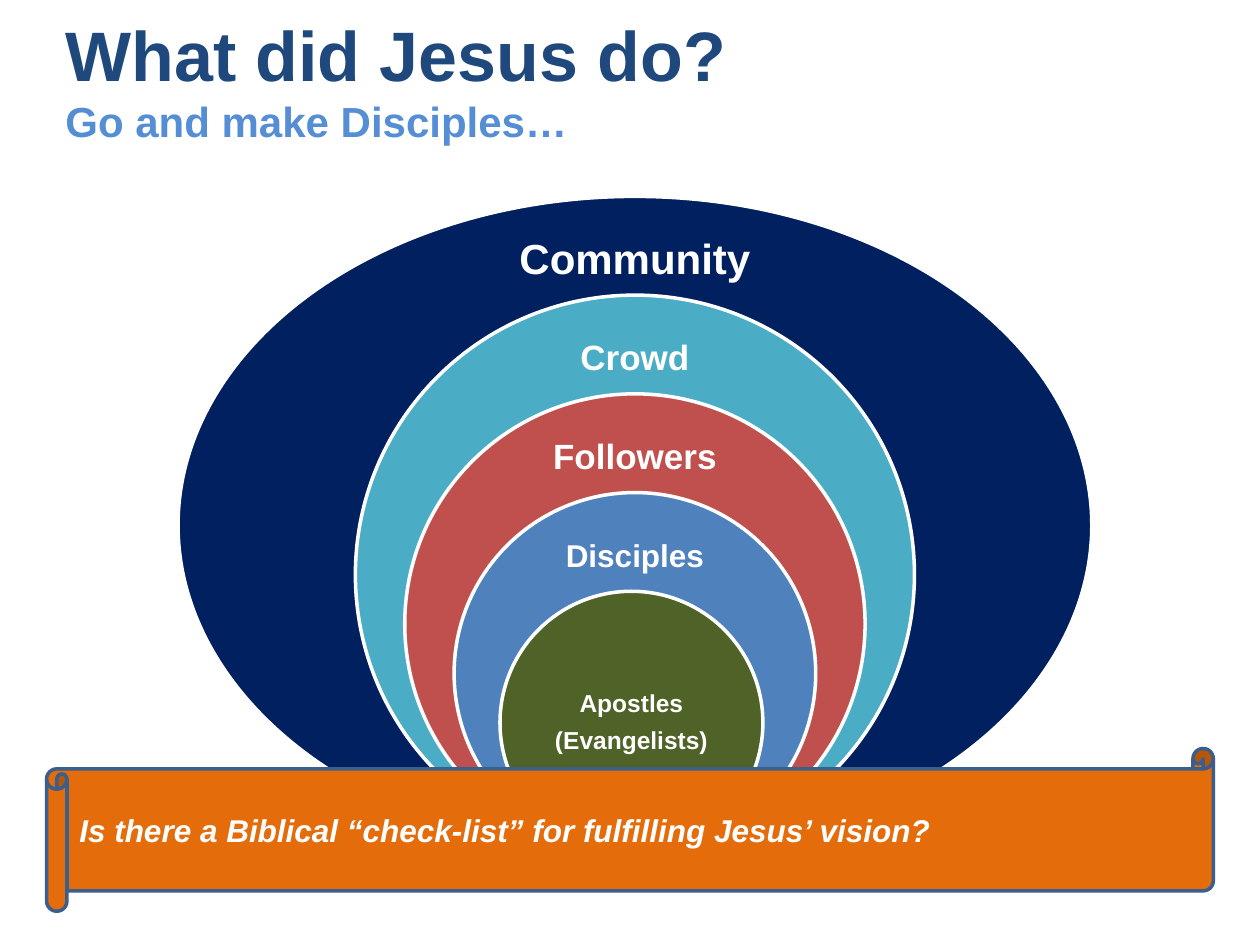
import pptx
import pptx.util
import pptx.dml.color
import pptx.enum.shapes
import pptx.enum.text
from dataclasses import dataclass

Cm = pptx.util.Cm
Pt = pptx.util.Pt


@dataclass(frozen=True)
class Theme:
    font: str = "Arial"
    title: str = "1F497D"
    subtitle: str = "558ED5"
    light: str = "FFFFFF"
    banner: str = "E46C0A"
    banner_line: str = "3A5F8C"
    rings: tuple = ("002060", "4BACC6", "C0504D", "4F81BD", "4F6228")
    label_sizes: tuple = (24, 20, 20, 18, 14)
    title_size: int = 40
    subtitle_size: int = 24
    banner_size: int = 18
    line_width: int = 2


theme = Theme()


def style_font(font, size, color):
    font.name = theme.font
    font.size = Pt(size)
    font.bold = True
    font.color.rgb = pptx.dml.color.RGBColor.from_string(color)


def add_filled_shape(kind, left, top, width, height, fill, line):
    shape = slide.shapes.add_shape(kind, Cm(left), Cm(top), Cm(width), Cm(height))
    shape.shadow.inherit = False
    shape.fill.solid()
    shape.fill.fore_color.rgb = pptx.dml.color.RGBColor.from_string(fill)
    shape.line.color.rgb = pptx.dml.color.RGBColor.from_string(line)
    shape.line.width = Pt(theme.line_width)
    return shape


presentation = pptx.Presentation()
presentation.slide_width = Cm(25.4)
presentation.slide_height = Cm(19.05)
slide = presentation.slides.add_slide(presentation.slide_layouts[6])

title_box = slide.shapes.add_textbox(Cm(1.07), Cm(0), Cm(23.29), Cm(3.18))
title_box.text_frame.word_wrap = True
title_box.text_frame.vertical_anchor = pptx.enum.text.MSO_ANCHOR.MIDDLE
paragraph = title_box.text_frame.paragraphs[0]
title_run = paragraph.add_run()
title_run.text = "What did Jesus do?"
style_font(title_run.font, theme.title_size, theme.title)
paragraph.add_line_break()
subtitle_run = paragraph.add_run()
subtitle_run.text = "Go and make Disciples…"
style_font(subtitle_run.font, theme.subtitle_size, theme.subtitle)

rings_top, ring_step, rings_bottom = 3.96, 1.99, 17.22
label_width, label_height = 7, 2
rings = [
    ("Community", 12.8, 18.42, 1.3),
    ("Crowd", 12.8, 11.27, 1.3),
    ("Followers", 12.8, 9.28, 1.3),
    ("Disciples", 12.8, 7.29, 1.3),
    ("Apostles\n(Evangelists)", 12.73, 5.3, 2.65),
]
for index, (label, center, width, label_offset) in enumerate(rings):
    top = rings_top + index * ring_step
    add_filled_shape(
        pptx.enum.shapes.MSO_SHAPE.OVAL, center - width / 2, top,
        width, rings_bottom - top, theme.rings[index], theme.light,
    )
    label_box = slide.shapes.add_textbox(
        Cm(center - label_width / 2), Cm(top + label_offset - label_height / 2),
        Cm(label_width), Cm(label_height),
    )
    label_frame = label_box.text_frame
    label_frame.word_wrap = True
    label_frame.vertical_anchor = pptx.enum.text.MSO_ANCHOR.MIDDLE
    label_frame.text = label
    for paragraph in label_frame.paragraphs:
        paragraph.alignment = pptx.enum.text.PP_ALIGN.CENTER
        paragraph.line_spacing = 0.9
        paragraph.space_after = Pt(6)
        style_font(paragraph.font, theme.label_sizes[index], theme.light)

banner = add_filled_shape(
    pptx.enum.shapes.MSO_SHAPE.HORIZONTAL_SCROLL, 0.94, 15.09, 23.52, 3.28,
    theme.banner, theme.banner_line,
)
banner.text_frame.word_wrap = True
banner.text_frame.vertical_anchor = pptx.enum.text.MSO_ANCHOR.MIDDLE
paragraph = banner.text_frame.paragraphs[0]
paragraph.text = "Is there a Biblical “check-list” for fulfilling Jesus’ vision?"
paragraph.alignment = pptx.enum.text.PP_ALIGN.LEFT
style_font(paragraph.font, theme.banner_size, theme.light)
paragraph.font.italic = True

presentation.save("out.pptx")
